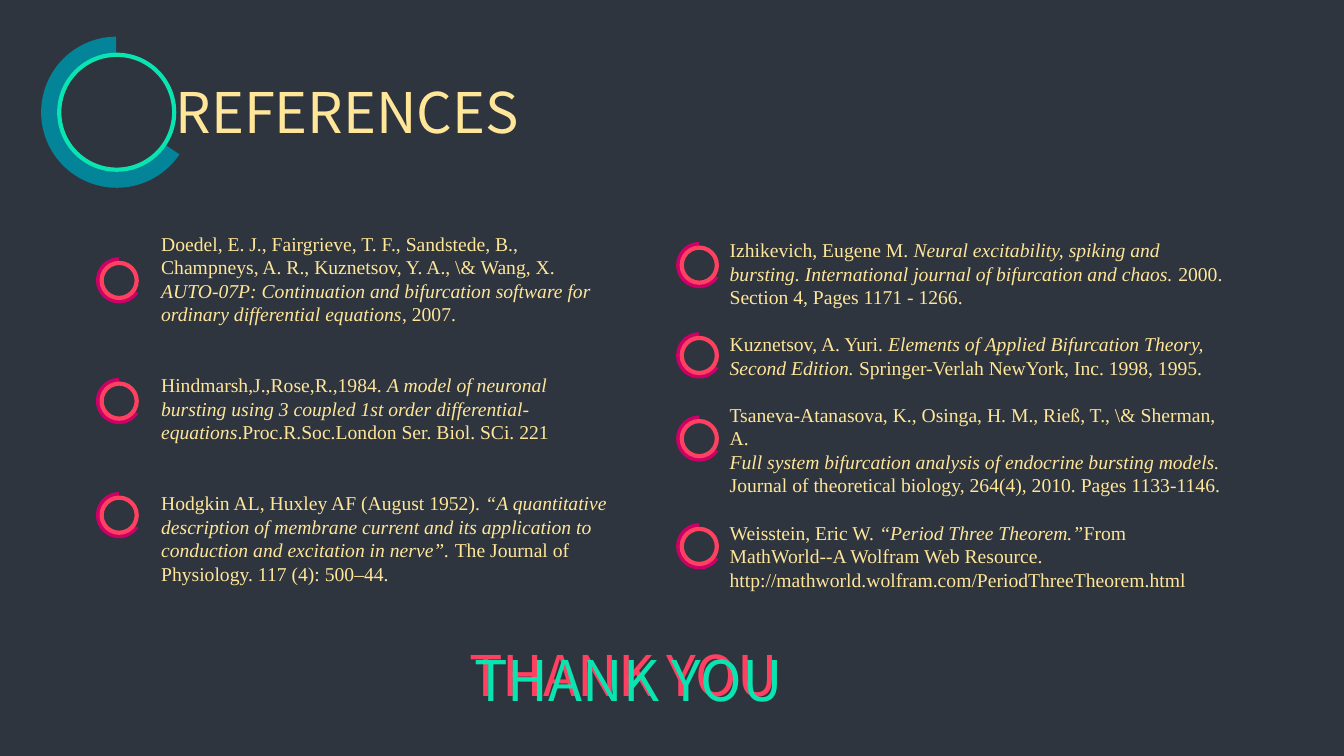
"""Build the closing slide with the reference list and a thank-you line."""
import pptx
import pptx.dml.color
import pptx.enum.shapes
import pptx.enum.text
import pptx.util

Pt = pptx.util.Pt
RGBColor = pptx.dml.color.RGBColor
MSO_SHAPE = pptx.enum.shapes.MSO_SHAPE
PP_ALIGN = pptx.enum.text.PP_ALIGN

SLATE = RGBColor(0x2E, 0x35, 0x3F)
CREAM = RGBColor(0xFF, 0xE6, 0x99)
TEAL = RGBColor(0x03, 0x84, 0x99)
MINT = RGBColor(0x0A, 0xE4, 0xB0)
MAGENTA = RGBColor(0xCC, 0x00, 0x66)
CORAL = RGBColor(0xFF, 0x40, 0x61)

LEFT_REFERENCES = [
    [[("Doedel, E. J., Fairgrieve, T. F., Sandstede, B., Champneys, A. R., "
       "Kuznetsov, Y. A., \\& Wang, X.", False)],
     [("AUTO-07P: Continuation and bifurcation software for ordinary "
       "differential equations", True), (", 2007.", False)]],
    [[("Hindmarsh,J.,Rose,R.,1984. ", False),
      ("A model of neuronal bursting using 3 coupled 1st order "
       "differential-equations", True),
      (".Proc.R.Soc.London Ser. Biol. SCi. 221", False)]],
    [[("Hodgkin AL, Huxley AF (August 1952). ", False),
      ("“A quantitative description of membrane current and its application "
       "to conduction and excitation in nerve”. ", True),
      ("The Journal of Physiology. 117 (4): 500–44.", False)]],
]
RIGHT_REFERENCES = [
    [[("Izhikevich, Eugene M. ", False),
      ("Neural excitability, spiking and bursting. International journal of "
       "bifurcation and chaos. ", True),
      ("2000. Section 4, Pages 1171 - 1266.", False)]],
    [[("Kuznetsov, A. Yuri. ", False),
      ("Elements of Applied Bifurcation Theory, Second Edition. ", True),
      ("Springer-Verlah NewYork, Inc. 1998, 1995.", False)]],
    [[("Tsaneva-Atanasova, K., Osinga, H. M., Rieß, T., \\& Sherman, A.", False)],
     [("Full system bifurcation analysis of endocrine bursting models.", True)],
     [("Journal of theoretical biology, 264(4), 2010. Pages 1133-1146.", False)]],
    [[("Weisstein, Eric W. ", False), ("“Period Three Theorem.”", True),
      ("From MathWorld--A Wolfram Web Resource. "
       "http://mathworld.wolfram.com/PeriodThreeTheorem.html", False)]],
]


class ReferenceSlide:
    """Hold the style and the slide, and draw each kind of element."""

    heading_font, heading_size = "Noto Sans CJK TC", 40
    body_font, body_size = "Times New Roman", 14
    ring_inset, ring_width = 0.12, 3

    def __init__(self, slide):
        """Keep the slide and paint its background."""
        self.slide = slide
        slide.background.fill.solid()
        slide.background.fill.fore_color.rgb = SLATE

    def text_frame(self, left, top, width, height):
        """Add a wrapping text box and return its frame."""
        box = self.slide.shapes.add_textbox(Pt(left), Pt(top), Pt(width), Pt(height))
        box.text_frame.word_wrap = True
        return box.text_frame

    def style(self, font, name, size, color):
        """Set the typeface, size and colour of a font."""
        font.name, font.size = name, Pt(size)
        font.color.rgb = color

    def heading(self, wording, left, top, color):
        """Add one centred line of large text."""
        frame = self.text_frame(left, top, 281.5, 55.4)
        frame.text = wording
        line = frame.paragraphs[0]
        line.alignment = PP_ALIGN.CENTER
        self.style(line.runs[0].font, self.heading_font, self.heading_size, color)

    def badge(self, left, top, size, arc_color, ring_color):
        """Add a partial disc with an outlined circle on top."""
        group = self.slide.shapes.add_group_shape()
        arc = group.shapes.add_shape(MSO_SHAPE.PIE, Pt(left), Pt(top), Pt(size), Pt(size))
        arc.adjustments[0], arc.adjustments[1] = 20.34, 161.67
        arc.line.fill.background()
        inset = size * self.ring_inset
        inner = size - 2 * inset
        ring = group.shapes.add_shape(
            MSO_SHAPE.OVAL, Pt(left + inset), Pt(top + inset), Pt(inner), Pt(inner))
        ring.line.color.rgb = ring_color
        ring.line.width = Pt(self.ring_width)
        for part, color in ((arc, arc_color), (ring, SLATE)):
            part.shadow.inherit = False
            part.fill.solid()
            part.fill.fore_color.rgb = color

    def references(self, entries, left, top, width, height, gap):
        """Add a column of references with a gap before each later entry."""
        frame = self.text_frame(left, top, width, height)
        paragraph = None
        for entry in entries:
            for position, pieces in enumerate(entry):
                first = paragraph is None
                paragraph = frame.paragraphs[0] if first else frame.add_paragraph()
                if position == 0 and not first:
                    paragraph.space_before = Pt(gap)
                for wording, italic in pieces:
                    run = paragraph.add_run()
                    run.text = wording
                    run.font.italic = italic
                    self.style(run.font, self.body_font, self.body_size, CREAM)


def main():
    """Build and save the presentation."""
    deck = pptx.Presentation()
    deck.slide_width, deck.slide_height = Pt(960), Pt(540)
    page = ReferenceSlide(deck.slides.add_slide(deck.slide_layouts[6]))

    page.heading("REFERENCES", 107.3, 51.8, CREAM)
    page.badge(29.4, 26.2, 108, TEAL, MINT)
    page.references(LEFT_REFERENCES, 108, 162, 337.7, 300, 33.7)
    page.references(RIGHT_REFERENCES, 514.1, 166.4, 373, 262, 16.85)
    for left, tops in ((68.6, (183.8, 270, 351.5)),
                       (483, (172.9, 237.4, 296.8, 373.8))):
        for top in tops:
            page.badge(left, top, 33, MAGENTA, CORAL)
    for shift, color in ((0, CORAL), (3.6, MINT)):
        page.heading("THANK YOU", 304.6 + shift, 454.3 + shift, color)

    deck.save("out.pptx")


if __name__ == "__main__":
    main()
